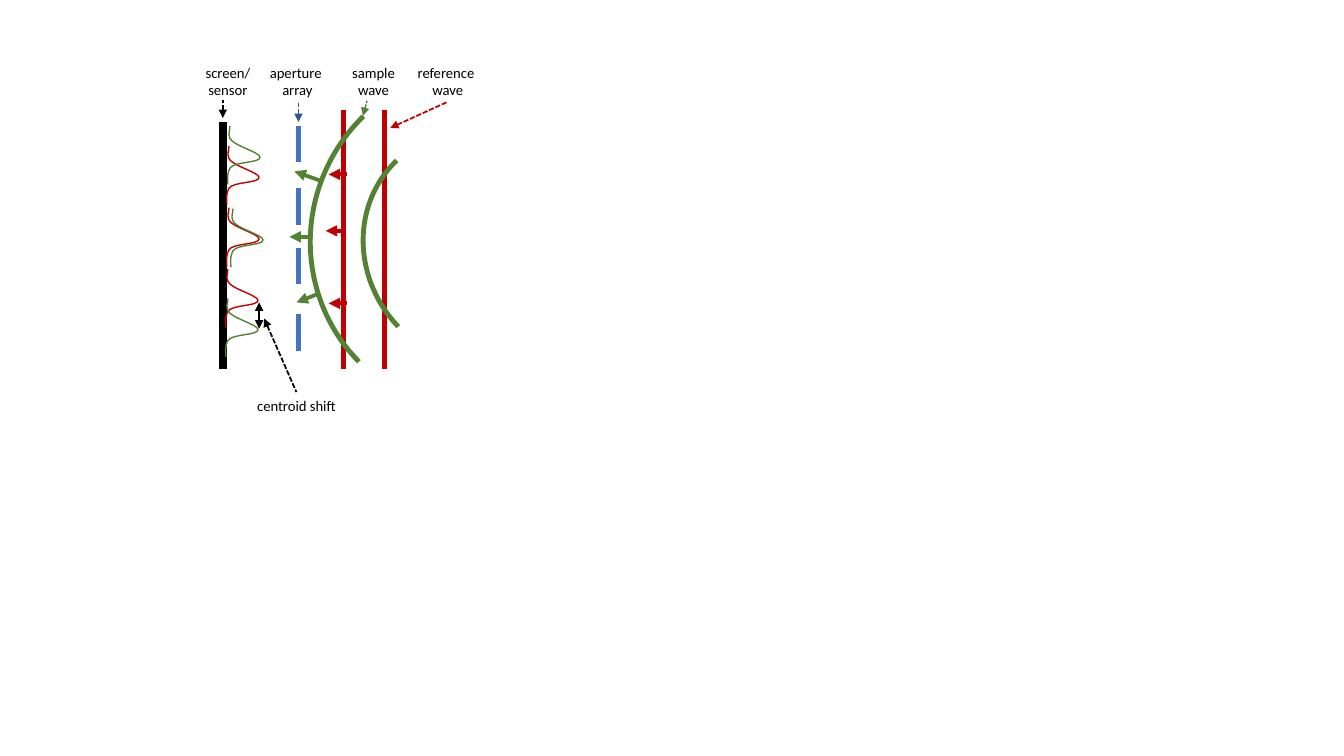
from lxml import etree
from pptx import Presentation
from pptx import util as u
from pptx.dml.color import RGBColor
from pptx.enum import dml, shapes, text
from pptx.oxml.ns import qn

COLORS = {"screen": "000000", "aperture": "4472C4", "aperture label": "2F5597",
          "reference": "C00000", "sample": "548235"}
LABELS = [
    (["screen/", "sensor"], 1.92, 0.58, 0.68, 0.47),
    (["aperture ", "array"], 2.57, 0.58, 0.76, 0.45),
    (["reference ", "wave"], 4.03, 0.58, 0.82, 0.45),
    (["sample", "wave"], 3.39, 0.58, 0.63, 0.45),
    (["centroid shift"], 2.44, 3.89, 1, 0.28),
]
SCREEN_X, APERTURE_X, SHIFT_X = 2.21, 2.96, 2.57
APERTURE_TOPS, APERTURE_HEIGHT = [1.25, 1.87, 2.46, 3.12], 0.36
REFERENCE_XS, REFERENCE_SPAN = [3.41, 3.81], (1.09, 3.66)
REFERENCE_ARROWS = [(3.26, 1.73), (3.23, 2.29), (3.26, 3.01)]
SAMPLE_ARROWS = [((2.92, 1.7), (3.17, 1.79)), ((2.87, 2.35), (3.09, 2.35)),
                 ((2.94, 3), (3.17, 2.91))]
SAMPLE_FRONTS = [(3.56, 1.34, 2.41, 2.25, 226.4), (3.09, 0.64, 3.42, 3.47, 225.6)]
PULSES = {
    "reference": [(2.27, 1.45), (2.27, 2.06), (2.26, 2.67)],
    "sample": [(2.28, 1.25), (2.31, 2.07), (2.26, 2.96)],
}
PULSE_CURVE = [
    (0, 0.08), (-0.02, 0.05), (0, 0.12),
    (0.02, 0.19), (0.3, 0.26), (0.3, 0.31),
    (0.3, 0.37), (0.04, 0.35), (0, 0.42),
    (-0.03, 0.49), (-0.02, 0.49), (-0.02, 0.58),
]
POINTERS = [
    ("screen", (SCREEN_X, 1.17), (SCREEN_X, 0.99), 1.25),
    ("aperture label", (APERTURE_X, 1.21), (APERTURE_X, 1.02), 1.25),
    ("sample", (3.6, 1.15), (3.64, 1), 1),
    ("reference", (3.87, 1.27), (4.44, 1.01), 1.25),
    ("screen", (2.62, 3.16), (2.94, 3.89), 1.25),
]

prs = Presentation()
prs.slide_width, prs.slide_height = u.Inches(13.33), u.Inches(7.5)
slide = prs.slides.add_slide(prs.slide_layouts[6])


def inches(values):
    return [u.Inches(v) for v in values]


def stroke(item, part, width):
    item.line.color.rgb = RGBColor.from_string(COLORS[part])
    item.line.width = u.Pt(width)


def line(part, start, end, width, ends=(), dashed=False):
    connector = slide.shapes.add_connector(
        shapes.MSO_CONNECTOR.STRAIGHT, *inches((*start, *end)))
    stroke(connector, part, width)
    if dashed:
        connector.line.dash_style = dml.MSO_LINE.SQUARE_DOT
    for end_tag in ends:
        etree.SubElement(connector.line._get_or_add_ln(), qn(end_tag), type="triangle")
    etree.SubElement(connector._element.spPr, qn("a:effectLst"))


def outline(shape, part, width):
    shape.fill.background()
    shape.shadow.inherit = False
    stroke(shape, part, width)


def bend(shape):
    segments = list(shape._element.iter(qn("a:lnTo")))
    for i in range(0, len(segments), 3):
        curve = etree.Element(qn("a:cubicBezTo"))
        segments[i].addprevious(curve)
        for segment in segments[i:i + 3]:
            curve.append(segment[0])
            segment.getparent().remove(segment)


def pulses(part):
    for x, y in PULSES[part]:
        builder = slide.shapes.build_freeform(*inches((x, y)))
        builder.add_line_segments(
            [inches((x + dx, y + dy)) for dx, dy in PULSE_CURVE], close=False)
        pulse = builder.convert_to_shape()
        bend(pulse)
        outline(pulse, part, 1)


def label(lines, *box):
    frame = slide.shapes.add_textbox(*inches(box)).text_frame
    frame.text = "\n".join(lines)
    frame.word_wrap = False
    frame.auto_size = text.MSO_AUTO_SIZE.SHAPE_TO_FIT_TEXT
    for paragraph in frame.paragraphs:
        paragraph.alignment = text.PP_ALIGN.CENTER
        font = paragraph.runs[0].font
        font.name, font.size = "Calibri", u.Pt(10.5)
        font.color.rgb = RGBColor.from_string(COLORS["screen"])


for top in APERTURE_TOPS:
    line("aperture", (APERTURE_X, top), (APERTURE_X, top + APERTURE_HEIGHT), 4)
for x in REFERENCE_XS:
    line("reference", (x, REFERENCE_SPAN[0]), (x, REFERENCE_SPAN[1]), 3.75)
for x, y in REFERENCE_ARROWS:
    line("reference", (x, y), (x + 0.18, y), 2.75, ["a:headEnd"])
line("screen", (SCREEN_X, 1.21), (SCREEN_X, 3.66), 5.5)

pulses("reference")
for *box, angle in SAMPLE_FRONTS:
    front = slide.shapes.add_shape(shapes.MSO_SHAPE.ARC, *inches(box))
    front.rotation = angle
    outline(front, "sample", 3.5)
pulses("sample")
for tip, start in SAMPLE_ARROWS:
    line("sample", tip, start, 2.75, ["a:headEnd"])

for entry in LABELS:
    label(*entry)
for part, tip, start, width in POINTERS:
    line(part, tip, start, width, ["a:headEnd"], dashed=True)
line("screen", (SHIFT_X, 3), (SHIFT_X, 3.26), 2, ["a:headEnd", "a:tailEnd"])

prs.save("out.pptx")
